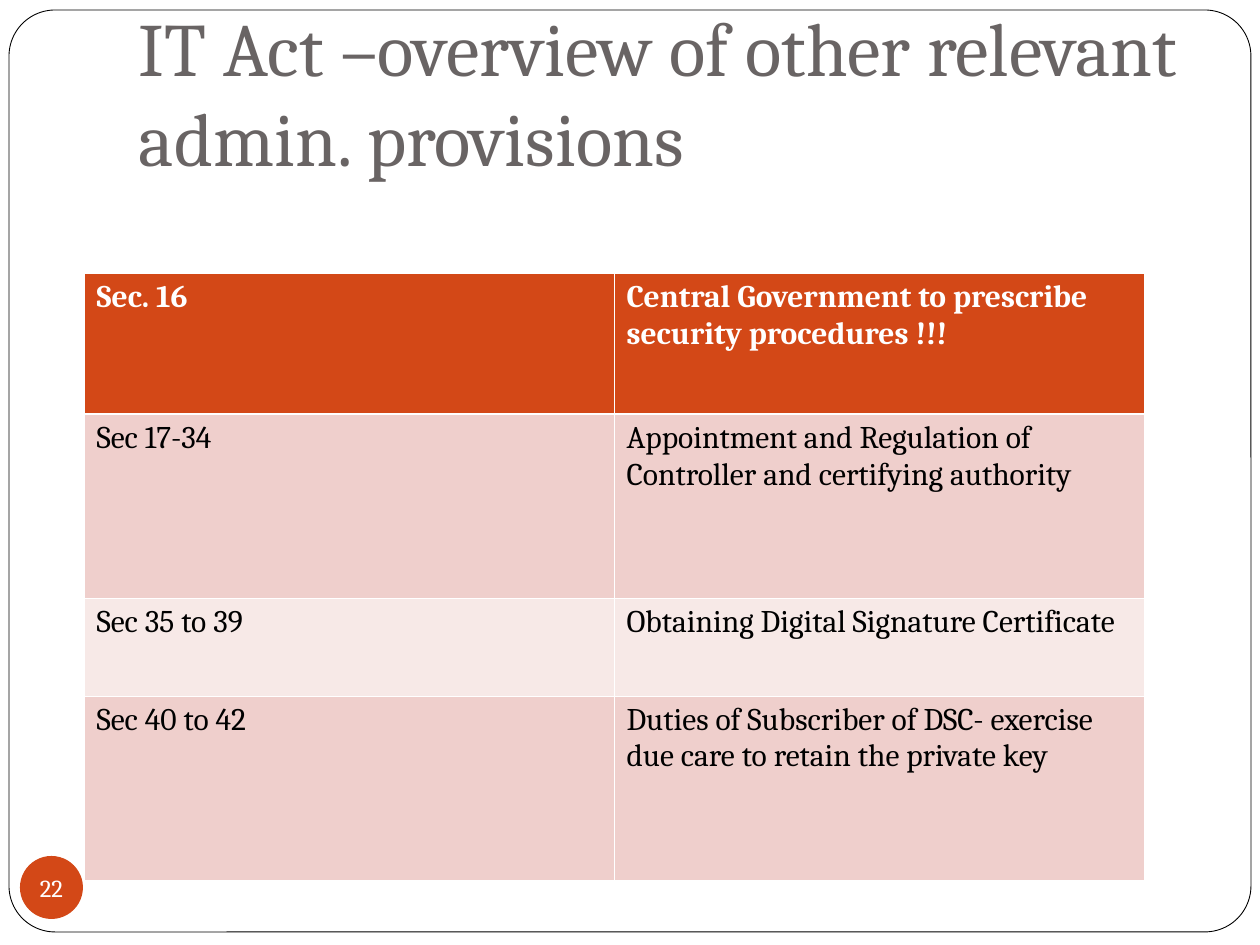
from dataclasses import dataclass

from lxml.etree import SubElement
from pptx import Presentation
from pptx.dml.color import RGBColor
from pptx.enum.shapes import MSO_SHAPE
from pptx.enum.text import MSO_ANCHOR, MSO_AUTO_SIZE, PP_ALIGN
from pptx.oxml.ns import qn
from pptx.util import Emu, Pt

PX_PER_INCH = 126


def px(n):
    return Emu(round(n * 914400 / PX_PER_INCH))


@dataclass(frozen=True)
class Theme:
    font: str = "Cambria"
    white: str = "FFFFFF"
    black: str = "000000"
    title: str = "696464"
    accent: str = "D34817"
    band_dark: str = "EFCFCC"
    band_light: str = "F7E9E7"
    title_size: int = 43
    table_size: int = 18
    number_size: int = 14
    thin_line: float = 0.45
    thick_line: float = 1.5


class SlideBuilder:
    def __init__(self, slide, theme):
        self.s = slide
        self.theme = theme

    def run(self, p, text, size, color, bold=False):
        r = p.add_run()
        r.text = text
        r.font.name = self.theme.font
        r.font.size = Pt(size)
        r.font.bold = bold
        r.font.color.rgb = RGBColor.from_string(color)

    def shape(self, kind, left, top, width, height, fill):
        sp = self.s.shapes.add_shape(kind, px(left), px(top), px(width), px(height))
        sp.shadow.inherit = False
        sp.fill.solid()
        sp.fill.fore_color.rgb = RGBColor.from_string(fill)
        sp.line.fill.background()
        return sp

    def frame(self, left, top, width, height):
        sp = self.shape(MSO_SHAPE.ROUNDED_RECTANGLE, left, top, width, height,
                        self.theme.white)
        sp.adjustments[0] = 0.05
        sp.line.color.rgb = RGBColor.from_string(self.theme.black)
        sp.line.width = Pt(0.5)
        # Send behind the title
        self.s.shapes.title._element.addprevious(sp._element)

    def title(self, text, left, top, width, height):
        sp = self.s.shapes.title
        sp.left, sp.top, sp.width, sp.height = px(left), px(top), px(width), px(height)
        tf = sp.text_frame
        tf.word_wrap = True
        tf.auto_size = MSO_AUTO_SIZE.NONE
        tf.vertical_anchor = MSO_ANCHOR.BOTTOM
        tf.margin_left = tf.margin_right = tf.margin_bottom = px(13)
        tf.margin_top = px(6)
        p = tf.paragraphs[0]
        p.alignment = PP_ALIGN.LEFT
        self.run(p, text, self.theme.title_size, self.theme.title)

    def number_badge(self, text, left, top, size):
        sp = self.shape(MSO_SHAPE.OVAL, left, top, size, size, self.theme.accent)
        tf = sp.text_frame
        tf.word_wrap = False
        tf.vertical_anchor = MSO_ANCHOR.MIDDLE
        tf.margin_left = tf.margin_right = tf.margin_top = tf.margin_bottom = 0
        p = tf.paragraphs[0]
        p.alignment = PP_ALIGN.CENTER
        self.run(p, text, self.theme.number_size, self.theme.white)

    def borders(self, cell, widths):
        tc_pr = cell._tc.get_or_add_tcPr()
        for side, width in widths.items():
            ln = SubElement(tc_pr, qn(f"a:ln{side}"), w=str(Pt(width)))
            fill = SubElement(ln, qn("a:solidFill"))
            SubElement(fill, qn("a:srgbClr"), val=self.theme.white)

    def table(self, rows, left, top, col_width, row_heights):
        t = self.theme
        cols = len(rows[0])
        tbl = self.s.shapes.add_table(len(rows), cols, px(left), px(top),
                                      px(col_width * cols), px(sum(row_heights))).table
        for col in tbl.columns:
            col.width = px(col_width)
        for i, (texts, height) in enumerate(zip(rows, row_heights)):
            tbl.rows[i].height = px(height)
            header = i == 0
            fill = t.accent if header else (t.band_light, t.band_dark)[i % 2]
            widths = {"L": t.thin_line, "R": t.thin_line,
                      "T": t.thick_line if i == 1 else t.thin_line,
                      "B": t.thick_line if header else t.thin_line}
            for j, text in enumerate(texts):
                cell = tbl.cell(i, j)
                self.borders(cell, widths)
                cell.fill.solid()
                cell.fill.fore_color.rgb = RGBColor.from_string(fill)
                self.run(cell.text_frame.paragraphs[0], text, t.table_size,
                         t.white if header else t.black, header)


def main():
    prs = Presentation()
    prs.slide_width, prs.slide_height = px(1260), px(945)
    slide = SlideBuilder(prs.slides.add_slide(prs.slide_layouts[5]), Theme())

    # Frame and title
    slide.frame(9, 10, 1242, 922)
    slide.title("IT Act –overview of other relevant admin. provisions",
                126, 53, 1092, 142)

    # Slide number
    slide.number_badge("22", 20, 856, 63)

    # Provisions by section
    provisions = [
        ("Sec. 16", "Central Government to prescribe security procedures !!!"),
        ("Sec 17-34", "Appointment and Regulation of Controller and certifying authority"),
        ("Sec 35 to 39", "Obtaining Digital Signature Certificate"),
        ("Sec 40 to 42", "Duties of Subscriber of DSC- exercise due care to retain "
                         "the private key"),
    ]
    slide.table(provisions, 84, 273, 530, [141, 184, 98, 184])

    prs.save("out.pptx")


if __name__ == "__main__":
    main()
